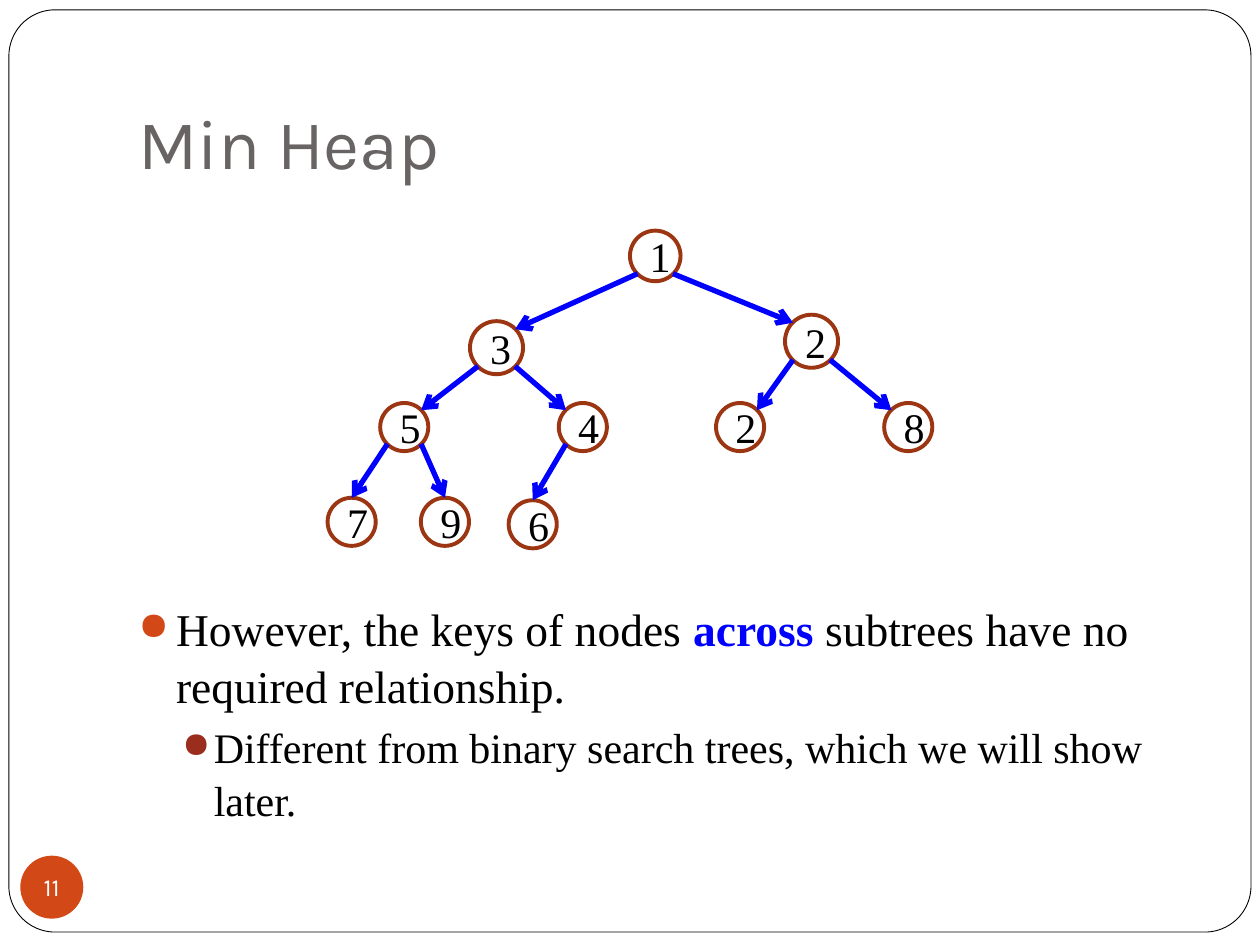
from pptx import Presentation
from pptx.dml.color import RGBColor
from pptx.enum.shapes import MSO_CONNECTOR, MSO_SHAPE
from pptx.enum.text import MSO_ANCHOR, PP_ALIGN
from pptx.oxml.ns import qn
from pptx.util import Cm, Pt
from lxml import etree

OVAL = MSO_SHAPE.OVAL
ROUND = MSO_SHAPE.ROUNDED_RECTANGLE
LINE = MSO_CONNECTOR.STRAIGHT
CENTER = PP_ALIGN.CENTER
MIDDLE = MSO_ANCHOR.MIDDLE
BOTTOM = MSO_ANCHOR.BOTTOM
SERIF = "Times New Roman"
SANS = "Karla"


def color(code):
    return RGBColor.from_string(code)


def style(font, name, size, code):
    font.name = name
    font.size = Pt(size)
    font.color.rgb = color(code)


deck = Presentation()
deck.slide_width = Cm(25.4)
deck.slide_height = Cm(19.05)
slide = deck.slides.add_slide(deck.slide_layouts[6])
shapes = slide.shapes

# Page frame
frame = shapes.add_shape(ROUND, Cm(0.18), Cm(0.2), Cm(25.04), Cm(18.59))
frame.adjustments[0] = 0.05
frame.shadow.inherit = False
frame.fill.solid()
frame.fill.fore_color.rgb = color("FFFFFF")
frame.line.color.rgb = color("000000")
frame.line.width = Pt(0.5)

# Title
title = shapes.add_textbox(Cm(2.54), Cm(0.76), Cm(21.59), Cm(3.18))
text = title.text_frame
text.word_wrap = True
text.vertical_anchor = BOTTOM
text.margin_bottom = Cm(0.25)
text.text = "Min Heap"
style(text.paragraphs[0].runs[0].font, SANS, 40, "696464")

# Page number
badge = shapes.add_shape(OVAL, Cm(0.41), Cm(17.25), Cm(1.27), Cm(1.27))
badge.shadow.inherit = False
badge.fill.solid()
badge.fill.fore_color.rgb = color("D34817")
badge.line.fill.background()
text = badge.text_frame
text.word_wrap = False
text.margin_left = text.margin_right = 0
text.margin_top = text.margin_bottom = 0
text.vertical_anchor = MIDDLE
text.text = "11"
text.paragraphs[0].alignment = CENTER
style(text.paragraphs[0].runs[0].font, SANS, 14, "FFFFFF")

# Heap nodes in level order: key, center x, center y, diameter (cm)
nodes = [
    (1, 13.21, 5.16, 1.02),
    (3, 10.01, 7.01, 1.07), (2, 16.36, 6.88, 1.07),
    (5, 8.15, 8.61, 0.97), (4, 11.75, 8.61, 0.97),
    (2, 14.92, 8.61, 0.97), (8, 18.31, 8.61, 0.97),
    (7, 7.09, 10.52, 0.97), (9, 8.97, 10.52, 0.97), (6, 10.74, 10.57, 0.97),
]
for key, x, y, size in nodes:
    node = shapes.add_shape(OVAL, Cm(x - size / 2), Cm(y - size / 2), Cm(size), Cm(size))
    node.shadow.inherit = False
    node.fill.background()
    node.line.color.rgb = color("9C3511")
    node.line.width = Pt(2.25)
    text = node.text_frame
    text.word_wrap = True
    text.vertical_anchor = MIDDLE
    text.text = str(key)
    text.paragraphs[0].alignment = CENTER
    style(text.paragraphs[0].runs[0].font, SERIF, 24, "000000")

# Arrows from each parent to its child; the lowest row is met at the top
DIAG = 0.35
LOW = 7
for i in range(1, len(nodes)):
    _, px, py, wide = nodes[(i - 1) // 2]
    _, cx, cy, size = nodes[i]
    side = -1 if i % 2 else 1
    if i >= LOW:
        end = cx, cy - size / 2
    else:
        end = cx - side * DIAG * size, cy - DIAG * size
    arrow = shapes.add_connector(
        LINE, Cm(px + side * DIAG * wide), Cm(py + DIAG * wide), Cm(end[0]), Cm(end[1]))
    arrow.line.color.rgb = color("0000FF")
    arrow.line.width = Pt(3)
    etree.SubElement(arrow.line._get_or_add_ln(), qn("a:tailEnd"), type="arrow")
    etree.SubElement(arrow._element.spPr, qn("a:effectLst"))

# Bullets: runs, size, left, hang (cm), space before, bullet color
points = [
    (["However, the keys of nodes ", "across ",
      "subtrees have no required relationship."], 26, 0.76, 0.76, 0, "D34817"),
    (["Different from binary search trees, which we will show later."],
     24, 1.52, 0.64, 3.7, "9B2D1F"),
]
body = shapes.add_textbox(Cm(2.54), Cm(11.93), Cm(21.59), Cm(4.78))
text = body.text_frame
text.word_wrap = True
for i, (parts, size, left, hang, gap, tint) in enumerate(points):
    para = text.paragraphs[0] if i == 0 else text.add_paragraph()
    para.line_spacing = 1.05
    para.space_before = Pt(gap)
    props = para._p.get_or_add_pPr()
    props.set("marL", str(Cm(left)))
    props.set("indent", str(-Cm(hang)))
    paint = etree.SubElement(props, qn("a:buClr"))
    etree.SubElement(paint, qn("a:srgbClr"), val=tint)
    etree.SubElement(props, qn("a:buSzPct"), val="85000")
    etree.SubElement(props, qn("a:buChar"), char="●")
    for part in parts:
        run = para.add_run()
        run.text = part
        strong = part == "across "
        style(run.font, SERIF, size, "0000FF" if strong else "000000")
        run.font.bold = strong

deck.save("out.pptx")
